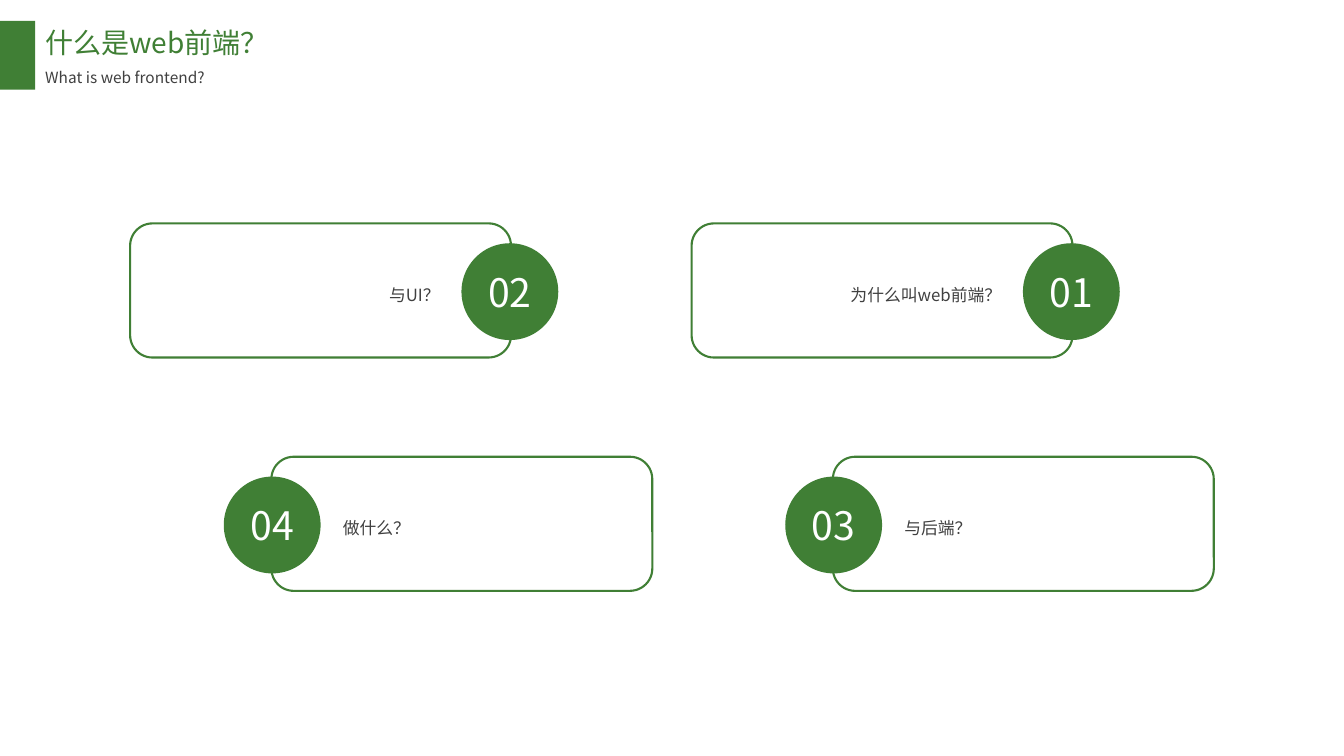
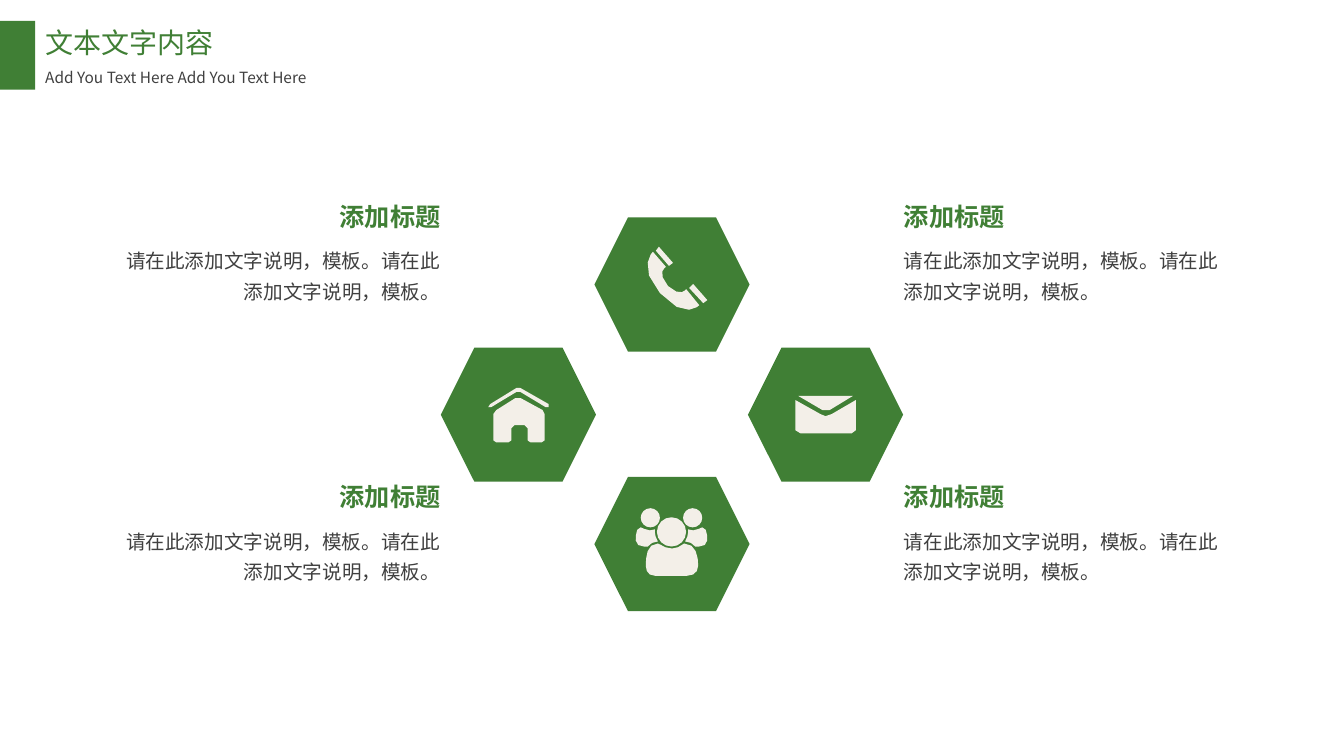
import math
from dataclasses import dataclass

from lxml import etree
from pptx import Presentation
from pptx import util as u
from pptx.dml.color import RGBColor
from pptx.enum import shapes, text
from pptx.oxml.ns import qn

GREEN, DARK, WHITE, CREAM = "407F35", "404040", "FFFFFF", "F3EFE8"
FONT = "Noto Sans CJK SC"
LEFT, CENTER, RIGHT = text.PP_ALIGN.LEFT, text.PP_ALIGN.CENTER, text.PP_ALIGN.RIGHT
GRID = u.Cm(2.54) / 100
HEX_WIDTH, HEX_HEIGHT = 3.91, 3.38
CURVE_STEPS, CURVE_CHORD, CIRCLE_STEPS = 4, 5, 16

Point = tuple[float, float]
Segment = tuple[float, ...]
Contour = list[Point]


@dataclass(frozen=True)
class Style:
    size: float
    color: str
    align: text.PP_ALIGN = LEFT
    bold: bool = False
    spacing: float = 1.0


@dataclass(frozen=True)
class Card:
    number: str
    question: str
    left: float
    top: float
    badge_right: bool


@dataclass(frozen=True)
class Tile:
    left: float
    top: float
    icon: list[list[Contour]]


@dataclass(frozen=True)
class Note:
    edge: float
    top: float
    align: text.PP_ALIGN


def rgb(value: str) -> RGBColor:
    return RGBColor.from_string(value)


def write(shape, words: str, style: Style) -> None:
    paragraph = shape.text_frame.paragraphs[0]
    paragraph.text = words
    paragraph.alignment = style.align
    paragraph.line_spacing = style.spacing
    font = paragraph.font
    font.size = u.Pt(style.size)
    font.bold = style.bold
    font.name = FONT
    font.color.rgb = rgb(style.color)
    properties = paragraph._p.find(".//" + qn("a:defRPr"))
    etree.SubElement(properties, qn("a:ea"), typeface=FONT)


def add_text(slide, words: str, left: float, top: float, width: float, height: float,
             style: Style, wrap: bool = True) -> None:
    box = slide.shapes.add_textbox(u.Cm(left), u.Cm(top), u.Cm(width), u.Cm(height))
    box.text_frame.word_wrap = wrap
    box.text_frame.auto_size = text.MSO_AUTO_SIZE.SHAPE_TO_FIT_TEXT
    write(box, words, style)


def paint(shape, fill: str | None, line: str | None = None) -> None:
    shape.shadow.inherit = False
    if fill:
        shape.fill.solid()
        shape.fill.fore_color.rgb = rgb(fill)
    else:
        shape.fill.background()
    if line:
        shape.line.color.rgb = rgb(line)
        shape.line.width = u.Pt(1.5)
    else:
        shape.line.fill.background()


def add_preset(slide, kind, left: float, top: float, width: float, height: float,
               fill: str | None, line: str | None = None):
    shape = slide.shapes.add_shape(kind, u.Cm(left), u.Cm(top), u.Cm(width), u.Cm(height))
    paint(shape, fill, line)
    return shape


def outline(start: Point, *segments: Segment) -> Contour:
    points = [start]
    for segment in segments:
        if len(segment) == 2:
            points.append(segment)
            continue
        x0, y0 = points[-1]
        x1, y1, x2, y2, x3, y3 = segment
        chord = math.hypot(x3 - x0, y3 - y0)
        steps = max(1, min(CURVE_STEPS, round(chord / CURVE_CHORD)))
        for step in range(1, steps + 1):
            t = step / steps
            a, b, c, d = (1 - t) ** 3, 3 * t * (1 - t) ** 2, 3 * t * t * (1 - t), t ** 3
            points.append((a * x0 + b * x1 + c * x2 + d * x3,
                           a * y0 + b * y1 + c * y2 + d * y3))
    return points


def circle(x: float, y: float, radius: float) -> Contour:
    angles = [math.tau * step / CIRCLE_STEPS for step in range(CIRCLE_STEPS)]
    return [(x + radius * math.cos(a), y + radius * math.sin(a)) for a in angles]


def mirror(contour: Contour, axis: float) -> Contour:
    return [(2 * axis - x, y) for x, y in contour]


def add_outline(slide, contours: list[Contour], left: float, top: float) -> None:
    placed = [[(u.Cm(left) + x * GRID, u.Cm(top) + y * GRID) for x, y in contour]
              for contour in contours]
    builder = slide.shapes.build_freeform(*placed[0][0])
    for index, contour in enumerate(placed):
        if index:
            builder.move_to(*contour[0])
        builder.add_line_segments(contour[1:], close=True)
    paint(builder.convert_to_shape(), CREAM)


def add_page(presentation, title: str, subtitle: str, title_width: float):
    slide = presentation.slides.add_slide(presentation.slide_layouts[6])
    slide.background.fill.solid()
    slide.background.fill.fore_color.rgb = rgb(WHITE)
    add_text(slide, title, 0.89, 0.53, title_width, 1.12, Style(20, GREEN), wrap=False)
    add_text(slide, subtitle, 0.89, 1.45, 7.77, 0.82, Style(11, DARK, spacing=1.3))
    add_preset(slide, shapes.MSO_SHAPE.RECTANGLE, 0, 0.53, 0.89, 1.73, GREEN)
    return slide


def add_card(slide, card: Card) -> None:
    badge_offset, text_offset, align = (8.35, 0.28, RIGHT) if card.badge_right else (-1.2, 1.55, LEFT)
    add_preset(slide, shapes.MSO_SHAPE.ROUNDED_RECTANGLE, card.left, card.top, 9.6, 3.38,
               None, GREEN)
    badge = add_preset(slide, shapes.MSO_SHAPE.OVAL, card.left + badge_offset,
                       card.top + 0.5, 2.44, 2.44, GREEN)
    badge.text_frame.vertical_anchor = text.MSO_ANCHOR.MIDDLE
    write(badge, card.number, Style(28, WHITE, CENTER))
    add_text(slide, card.question, card.left + text_offset, card.top + 1.26, 7.77, 0.91,
             Style(12, DARK, align, spacing=1.3))


def add_tile(slide, tile: Tile) -> None:
    add_preset(slide, shapes.MSO_SHAPE.HEXAGON, tile.left, tile.top, HEX_WIDTH, HEX_HEIGHT, GREEN)
    for contours in tile.icon:
        add_outline(slide, contours, tile.left, tile.top)


def add_note(slide, note: Note) -> None:
    rows = [
        ("添加标题", 0, 3.05, 1.02, Style(18, GREEN, note.align, bold=True)),
        ("请在此添加文字说明，模板。" * 2, 1.03, 8.48, 1.8, Style(14, DARK, note.align, spacing=1.3)),
    ]
    for words, offset, width, height, style in rows:
        left = note.edge - width if note.align == RIGHT else note.edge
        add_text(slide, words, left, note.top + offset, width, height, style)


HOUSE = [
    [outline((79, 50), (78, 49, 76, 49, 74, 50), (55, 62), (54, 63, 52, 64, 52, 66), (52, 92),
             (52, 92, 54, 94, 55, 94), (67, 94), (69, 94, 70, 92, 70, 92), (70, 80),
             (70, 78, 71, 77, 73, 77), (83, 77), (84, 77, 86, 78, 86, 80), (86, 92),
             (86, 92, 87, 94, 89, 94), (100, 94), (102, 94, 103, 92, 103, 92), (103, 66),
             (103, 64, 102, 63, 101, 62))],
    [outline((107, 59), (107, 59, 106, 59, 104, 59), (79, 44), (78, 44, 76, 44, 75, 44), (50, 59),
             (50, 59, 48, 59, 47, 59), (46, 58, 47, 56, 49, 56), (75, 40),
             (76, 40, 78, 39, 79, 40), (107, 56), (107, 56, 108, 58, 107, 59))],
]
PHONE = [
    [outline((91, 71), (91, 71, 86, 80, 73, 68), (61, 54, 71, 49, 71, 49), (58, 34),
             (58, 34, 42, 49, 65, 75), (90, 103, 104, 87, 104, 87))],
    [outline((112, 82), (108, 85), (94, 70), (98, 66))],
    [outline((78, 45), (74, 48), (61, 33), (64, 29))],
]
ENVELOPE = [
    [outline((81, 62), (104, 48), (50, 48), (74, 62), (75, 63, 78, 63, 81, 62))],
    [outline((83, 66), (81, 67, 79, 68, 77, 68), (75, 68, 74, 67, 72, 66), (47, 52), (47, 82),
             (47, 84, 49, 85, 52, 85), (103, 85), (105, 85, 107, 84, 107, 82), (107, 52))],
]
PEOPLE_AXIS = 76.5
SIDE_PERSON = [
    outline((53, 69), (49, 69), (45, 69, 41, 67, 41, 63), (41, 59, 41, 50, 46, 50),
            (47, 50, 51, 53, 55, 53), (57, 53, 58, 53, 60, 52), (60, 53, 60, 54, 60, 55),
            (60, 57, 61, 61, 63, 64), (59, 64, 55, 66, 53, 69)),
    circle(55.5, 40.5, 9.5),
]
FRONT_PERSON = [
    outline((92, 98), (60, 98), (54, 98, 51, 94, 51, 88), (51, 79, 52, 66, 63, 66),
            (65, 66, 69, 71, 77, 71), (84, 71, 88, 66, 89, 66), (101, 66, 103, 79, 103, 88),
            (103, 94, 99, 98, 92, 98)),
    circle(PEOPLE_AXIS, 54.5, 14.5),
]
PEOPLE = [SIDE_PERSON + FRONT_PERSON + [mirror(part, PEOPLE_AXIS) for part in SIDE_PERSON]]

CARD_PITCH = 14.15
UPPER_LEFT, UPPER_TOP = 3.28, 5.63
LOWER_LEFT, LOWER_TOP = 6.84, 11.51
CARDS = [
    Card("01", "为什么叫web前端？", UPPER_LEFT + CARD_PITCH, UPPER_TOP, True),
    Card("02", "与UI？", UPPER_LEFT, UPPER_TOP, True),
    Card("04", "做什么？", LOWER_LEFT, LOWER_TOP, False),
    Card("03", "与后端？", LOWER_LEFT + CARD_PITCH, LOWER_TOP, False),
]
TILES = [
    Tile(18.85, 8.76, ENVELOPE),
    Tile(11.11, 8.76, HOUSE),
    Tile(14.98, 5.48, PHONE),
    Tile(14.98, 12.02, PEOPLE),
]
NOTES = [Note(edge, top, align)
         for edge, align in ((22.53, LEFT), (11.35, RIGHT))
         for top in (4.95, 12.01)]


def main() -> None:
    presentation = Presentation()
    presentation.slide_width = u.Cm(33.87)
    presentation.slide_height = u.Cm(19.05)

    questions = add_page(presentation, "什么是web前端？", "What is web frontend?", 6.2)
    for card in CARDS:
        add_card(questions, card)

    contacts = add_page(presentation, "文本文字内容", "Add You Text Here Add You Text Here", 4.78)
    for tile in TILES:
        add_tile(contacts, tile)
    for note in NOTES:
        add_note(contacts, note)

    presentation.save("out.pptx")


main()
